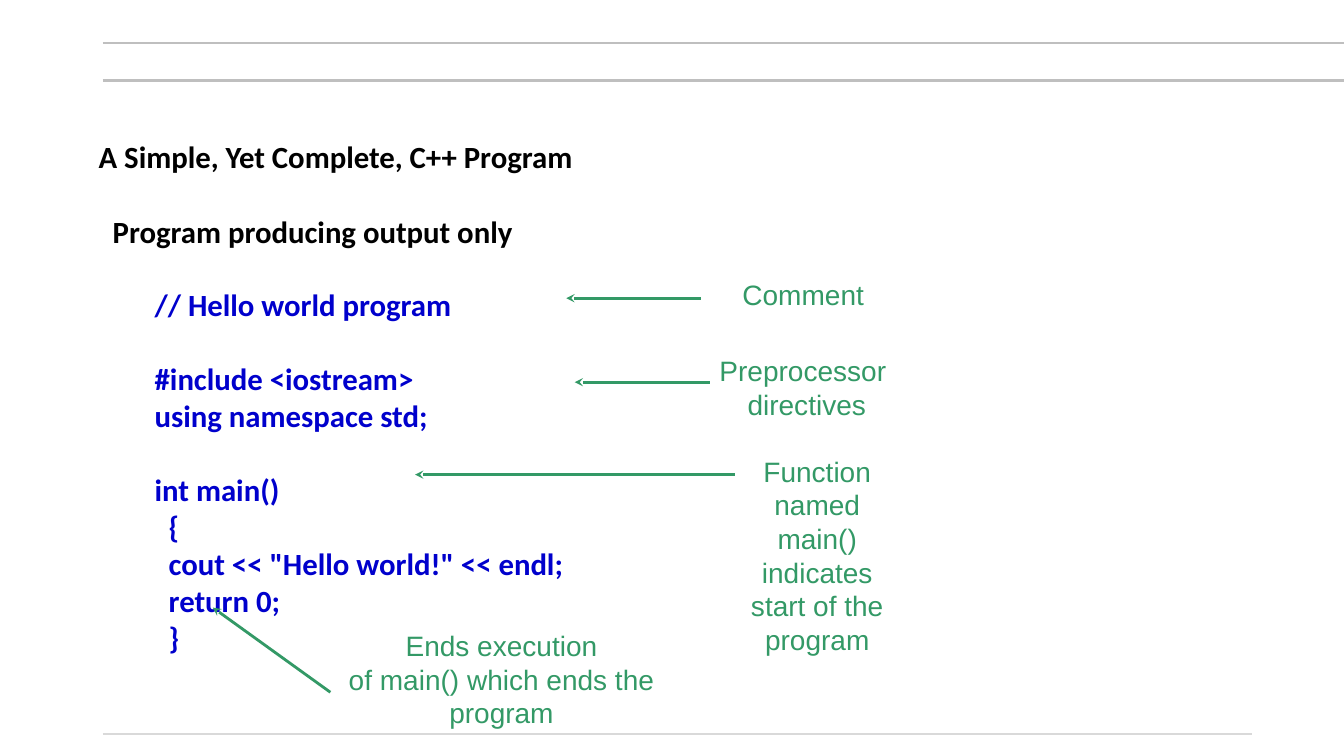
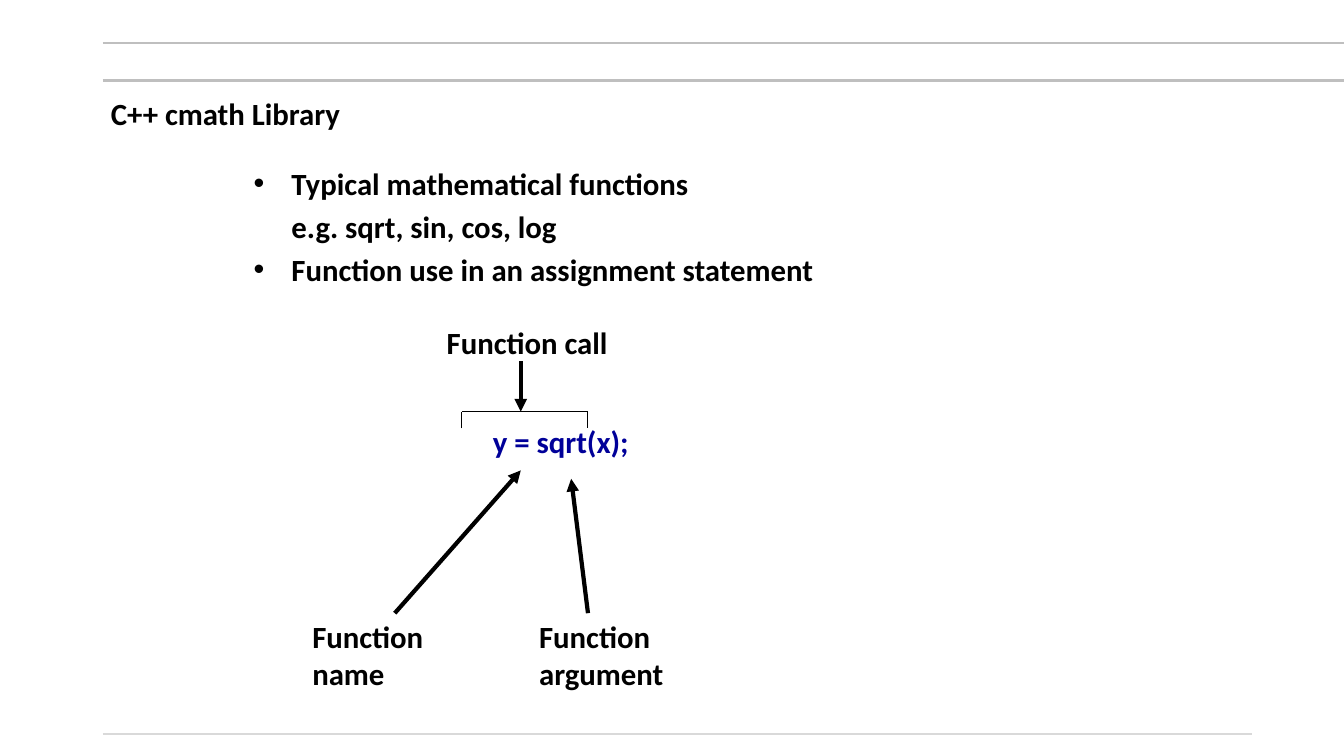
from dataclasses import dataclass

from lxml.etree import SubElement
from pptx import Presentation
from pptx.dml.color import RGBColor
from pptx.enum.shapes import MSO_CONNECTOR
from pptx.enum.text import MSO_ANCHOR, MSO_AUTO_SIZE, PP_ALIGN
from pptx.oxml.ns import qn
from pptx.shapes.autoshape import Shape
from pptx.shapes.connector import Connector
from pptx.slide import Slide
from pptx.util import Pt


# Theme: colours, fonts and type sizes
@dataclass(frozen=True)
class Theme:
    ink: str = "000000"
    code: str = "0000CC"
    call: str = "000099"
    note: str = "339966"
    band: str = "BFBFBF"
    footer: str = "D9D9D9"
    text_font: str = "Calibri"
    note_font: str = "Arial"
    text_size: float = 22
    note_size: float = 20
    blank_line: float = 26.4
    list_gap: float = 4.4


THEME = Theme()


@dataclass(frozen=True)
class Area:
    left: float
    top: float
    width: float
    height: float


@dataclass(frozen=True)
class Line:
    text: str
    indent: float = 0
    gap: float = 0
    color: str = THEME.ink
    bullet: bool = False


@dataclass(frozen=True)
class Stroke:
    start: tuple[float, float]
    end: tuple[float, float]
    color: str = THEME.ink
    weight: float = 0.75
    arrow: str = ""


@dataclass(frozen=True)
class Label:
    lines: list[str]
    area: Area
    wrap: bool = True


# Text and line drawing
def write_text(box: Shape, lines: list[Line], area: Area, *,
               font: str = THEME.text_font, size: float = THEME.text_size,
               bold: bool = True, wrap: bool = True,
               align: PP_ALIGN = PP_ALIGN.LEFT,
               anchor: MSO_ANCHOR = MSO_ANCHOR.TOP) -> None:
    box.left, box.top = Pt(area.left), Pt(area.top)
    box.width, box.height = Pt(area.width), Pt(area.height)
    frame = box.text_frame
    frame.auto_size = MSO_AUTO_SIZE.NONE
    frame.word_wrap = wrap
    frame.vertical_anchor = anchor
    for index, line in enumerate(lines):
        para = frame.add_paragraph() if index else frame.paragraphs[0]
        para.alignment = align
        para.space_before = Pt(line.gap)
        properties = para._p.get_or_add_pPr()
        properties.set("marL", str(Pt(line.indent)))
        properties.set("indent", str(Pt(-line.indent if line.bullet else 0)))
        if line.bullet:
            SubElement(properties, qn("a:buFont"), typeface="Arial")
            SubElement(properties, qn("a:buChar"), char="•")
        else:
            SubElement(properties, qn("a:buNone"))
        span = para.add_run()
        span.text = line.text
        span.font.name, span.font.size, span.font.bold = font, Pt(size), bold
        span.font.color.rgb = RGBColor.from_string(line.color)


def add_text(page: Slide, lines: list[Line], area: Area, **text_format) -> None:
    box = page.shapes.add_textbox(0, 0, 0, 0)
    write_text(box, lines, area, **text_format)


def draw_stroke(page: Slide, stroke: Stroke) -> Connector:
    ends = [Pt(value) for value in (*stroke.start, *stroke.end)]
    connector = page.shapes.add_connector(MSO_CONNECTOR.STRAIGHT, *ends)
    connector.line.color.rgb = RGBColor.from_string(stroke.color)
    connector.line.width = Pt(stroke.weight)
    properties = connector.element.spPr
    if stroke.arrow:
        SubElement(properties.find(qn("a:ln")), qn("a:tailEnd"), type=stroke.arrow)
    SubElement(properties, qn("a:effectLst"))
    return connector


# Rules shared by all slides, kept on the slide master
def add_master_rules(deck: Presentation, page: Slide) -> None:
    rules = [
        Stroke((73.5, 57.5), (960, 57.5), THEME.band, 1.5),
        Stroke((73.5, 30.5), (960, 30.5), THEME.band, 1.5),
        Stroke((73.5, 524), (894, 524), THEME.footer, 1.5),
    ]
    for number, rule in enumerate(rules, start=101):
        element = draw_stroke(page, rule).element
        element.nvCxnSpPr.cNvPr.set("id", str(number))
        deck.slide_master.shapes.element.append(element)


# Slide 1: annotated program
def build_program(page: Slide) -> None:
    write_text(page.shapes.title, [Line("A Simple, Yet Complete, C++ Program")],
               Area(63.3, 95, 809, 36))
    blank, code = THEME.blank_line, THEME.code
    write_text(page.placeholders[1], [
        Line("Program producing output only", 10),
        Line("// Hello world program", 40, blank, code),
        Line("#include <iostream>", 40, blank, code),
        Line("using namespace std;", 40, 0, code),
        Line("int main()", 40, blank, code),
        Line("{", 50, 0, code),
        Line('cout << "Hello world!" << endl;', 50, 0, code),
        Line("return 0;", 50, 0, code),
        Line("}", 50, 0, code),
    ], Area(63.3, 148, 809, 354))

    labels = [
        Label(["Comment"], Area(522.5, 195, 102.5, 32), wrap=False),
        Label(["Preprocessor ", "directives"], Area(506, 249, 140.5, 55.5), wrap=False),
        Label(["Ends execution", "of main() which ends the program"],
              Area(240.5, 445.5, 235.5, 80)),
        Label(["Function named main() indicates start of the program"],
              Area(529, 321, 109.5, 152.5)),
    ]
    for label in labels:
        add_text(page, [Line(text, color=THEME.note) for text in label.lines],
                 label.area, font=THEME.note_font, size=THEME.note_size,
                 bold=False, wrap=label.wrap, align=PP_ALIGN.CENTER)

    pointers = [
        ((500.5, 213), (404.5, 213)),
        ((507, 273), (410.5, 273)),
        ((525, 339), (296.5, 339)),
        ((236, 494.5), (152, 434)),
    ]
    for start, end in pointers:
        draw_stroke(page, Stroke(start, end, THEME.note, 2, "stealth"))


# Slide 2: function call diagram
def build_library(page: Slide) -> None:
    write_text(page.shapes.title, [Line("C++ cmath Library")],
               Area(72, 36, 612, 90), anchor=MSO_ANCHOR.MIDDLE)
    write_text(page.placeholders[1], [
        Line("Typical mathematical functions", 27, bullet=True),
        Line("e.g. sqrt, sin, cos, log", 27, THEME.list_gap),
        Line("Function use in an assignment statement", 27, THEME.list_gap, bullet=True),
    ], Area(174, 114, 612, 110))

    add_text(page, [Line("y = sqrt(x);", color=THEME.call)],
             Area(345, 298.5, 115, 34), wrap=False)
    labels = [
        Label(["Function name"], Area(216, 438, 108, 60)),
        Label(["Function argument"], Area(378, 438, 132, 60)),
        Label(["Function call"], Area(312, 228, 186, 34)),
    ]
    for label in labels:
        add_text(page, [Line(text) for text in label.lines], label.area)

    # Bracket over the call
    left, right, top, bottom = 330, 420, 294, 306
    corners = [(left, bottom), (left, top), (right, top), (right, bottom)]
    for start, end in zip(corners, corners[1:]):
        draw_stroke(page, Stroke(start, end))

    pointers = [
        ((282, 438), (372, 336)),
        ((420, 438), (408, 342)),
        ((372, 258), (372, top)),
    ]
    for start, end in pointers:
        draw_stroke(page, Stroke(start, end, weight=3, arrow="triangle"))


def main() -> None:
    deck = Presentation()
    deck.slide_width, deck.slide_height = Pt(960), Pt(540)
    layout = deck.slide_layouts[1]
    program, library = (deck.slides.add_slide(layout) for _ in range(2))
    add_master_rules(deck, program)
    build_program(program)
    build_library(library)
    deck.save("out.pptx")


if __name__ == "__main__":
    main()
